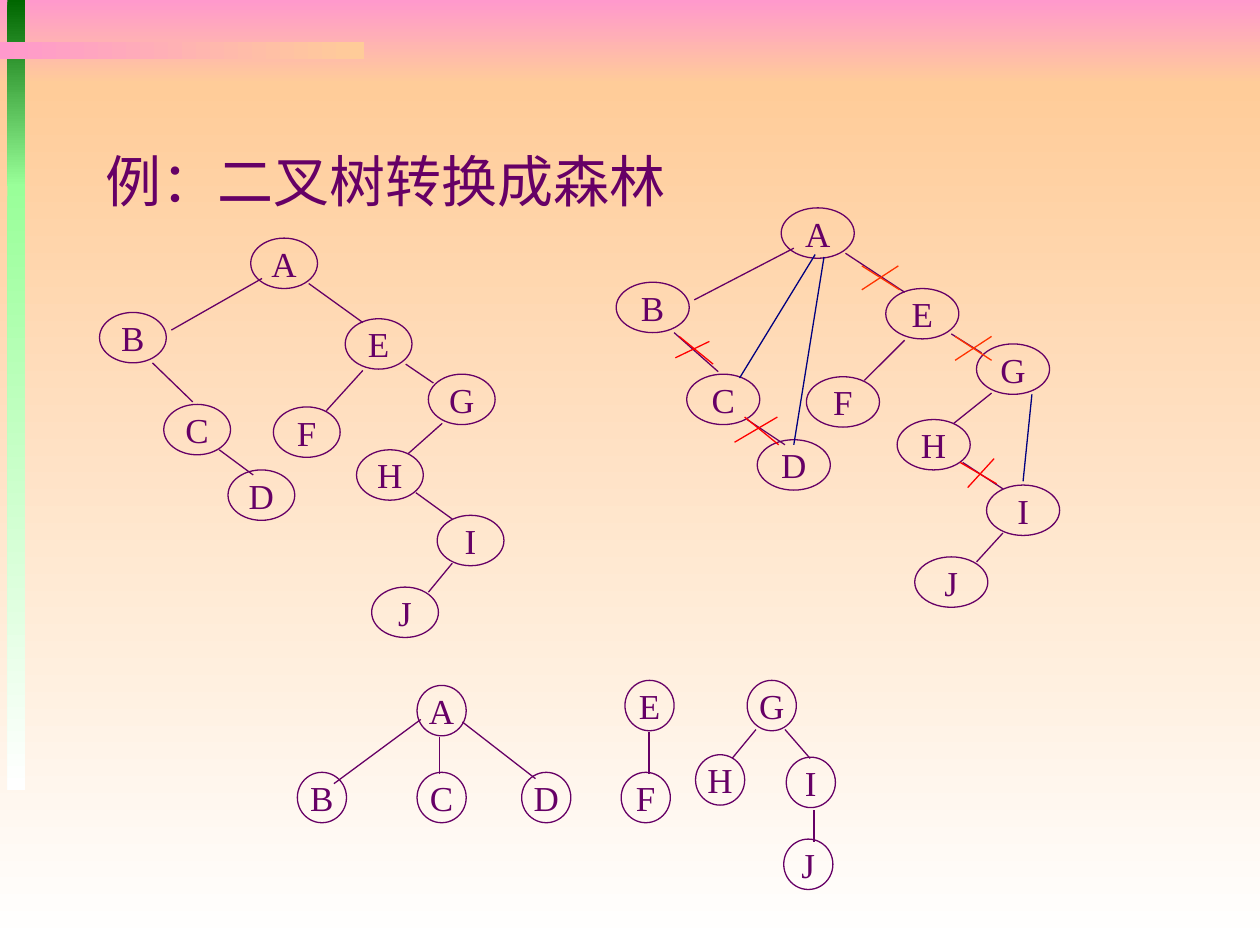
from lxml.etree import SubElement
from pptx import Presentation
from pptx.dml.color import RGBColor
from pptx.enum.shapes import MSO_CONNECTOR, MSO_SHAPE
from pptx.enum.text import MSO_ANCHOR, PP_ALIGN
from pptx.oxml.ns import qn
from pptx.util import Pt

PX = 9144
PURPLE = RGBColor(0x66, 0x00, 0x66)
NAVY = RGBColor(0x00, 0x00, 0x80)
RED = RGBColor(0xFF, 0x00, 0x00)
ORANGE = RGBColor(0xFF, 0x33, 0x00)
PINK = RGBColor(0xFF, 0x99, 0xCC)
PEACH = RGBColor(0xFF, 0xCC, 0x99)
DARK_GREEN = RGBColor(0x00, 0x66, 0x00)
LIGHT_GREEN = RGBColor(0x99, 0xFF, 0x99)
WHITE = RGBColor(0xFF, 0xFF, 0xFF)

TREE_WIDTH = 314
TREE_NODE_WIDTH = 53
FOREST_NODE_WIDTH = 39
NODE_HEIGHT = 40

TREE_NODES = {
    "A": (120, 0), "B": (0, 59), "C": (51, 132), "D": (102, 184),
    "E": (195, 64), "F": (138, 134), "G": (261, 108), "H": (204, 168),
    "I": (268, 220), "J": (216, 277),
}
TREE_EDGES = [
    (129, 32, 57, 73), (166, 36, 209, 67), (42, 99, 74, 130),
    (95, 168, 122, 188), (209, 105, 180, 137), (243, 100, 265, 115),
    (272, 147, 245, 171), (251, 202, 280, 223), (280, 258, 261, 281),
]
FOREST_NODES = {
    "A": (95, 4), "B": (0, 73), "C": (95, 73), "D": (178, 73),
    "E": (260, 0), "F": (257, 73), "G": (357, 0), "H": (316, 59),
    "I": (388, 61), "J": (386, 126),
}
FOREST_EDGES = [
    (98, 31, 29, 82), (113, 45, 113, 74), (131, 33, 189, 78),
    (279, 41, 279, 74), (364, 39, 345, 62), (387, 39, 407, 62),
    (410, 103, 410, 128),
]
MARKS = {
    NAVY: [(158, 37, 98, 135), (165, 39, 141, 188), (330, 148, 323, 217)],
    ORANGE: [
        (195, 46, 225, 65), (224, 46, 195, 65),
        (269, 102, 298, 121), (298, 102, 269, 121),
    ],
    RED: [
        (50, 102, 77, 124), (74, 106, 47, 119),
        (102, 166, 129, 188), (128, 166, 94, 186),
        (273, 202, 302, 219), (300, 199, 279, 222),
    ],
}


def emu(*lengths):
    return [round(length) * PX for length in lengths]


def format_text(frame, text, size, font_name):
    frame.text = text
    font = frame.paragraphs[0].runs[0].font
    font.size = Pt(size)
    font.name = font_name
    font.color.rgb = PURPLE


def add_band(page, box, start, end, angle=270):
    band = page.shapes.add_shape(MSO_SHAPE.RECTANGLE, *emu(*box))
    band.shadow.inherit = False
    band.line.fill.background()
    band.fill.gradient()
    band.fill.gradient_angle = angle
    for stop, color in zip(band.fill.gradient_stops, (start, end)):
        stop.color.rgb = color


def add_line(page, points, color):
    line = page.shapes.add_connector(MSO_CONNECTOR.STRAIGHT, *emu(*points))
    line.line.color.rgb = color
    line.line.width = Pt(0.75)
    SubElement(line._element.spPr, qn("a:effectLst"))


def add_node(page, label, box):
    node = page.shapes.add_shape(MSO_SHAPE.OVAL, *emu(*box))
    node.shadow.inherit = False
    node.fill.background()
    node.line.color.rgb = PURPLE
    node.line.width = Pt(0.75)
    frame = node.text_frame
    frame.word_wrap = False
    frame.vertical_anchor = MSO_ANCHOR.MIDDLE
    format_text(frame, label, 20, "Times New Roman")
    frame.paragraphs[0].alignment = PP_ALIGN.CENTER


def draw_backdrop(page, width, height):
    add_band(page, (0, 0, width, 67), PINK, PEACH)
    add_band(page, (0, 67, width, height - 67), PEACH, WHITE)
    add_band(page, (6, 0, 14, 148), DARK_GREEN, LIGHT_GREEN)
    add_band(page, (6, 146, 14, 481), LIGHT_GREEN, WHITE)
    add_band(page, (0, 33, 289, 14), PINK, PEACH, 0)


def draw_title(page, left, top, width, height):
    box = page.shapes.add_textbox(*emu(left, top, width, height))
    box.text_frame.word_wrap = True
    format_text(box.text_frame, "例：二叉树转换成森林", 32, "Arial")


def draw_lines(page, left, top, lines, color, stretch=1):
    for x1, y1, x2, y2 in lines:
        points = (left + x1 * stretch, top + y1, left + x2 * stretch, top + y2)
        add_line(page, points, color)


def draw_graph(page, left, top, nodes, edges, node_width, stretch=1):
    for label, (x, y) in nodes.items():
        box = (left + x * stretch, top + y, node_width * stretch, NODE_HEIGHT)
        add_node(page, label, box)
    draw_lines(page, left, top, edges, PURPLE, stretch)


def draw_binary_tree(page, left, top, width):
    draw_graph(page, left, top, TREE_NODES, TREE_EDGES, TREE_NODE_WIDTH,
               width / TREE_WIDTH)


def draw_marked_tree(page, left, top, width):
    draw_binary_tree(page, left, top, width)
    for color, lines in MARKS.items():
        draw_lines(page, left, top, lines, color)


def draw_forest(page, left, top):
    draw_graph(page, left, top, FOREST_NODES, FOREST_EDGES, FOREST_NODE_WIDTH)


def main():
    deck = Presentation()
    deck.slide_width, deck.slide_height = emu(1000, 750)
    page = deck.slides.add_slide(deck.slide_layouts[6])
    draw_backdrop(page, 1000, 750)
    draw_title(page, 74, 111, 496, 69)
    draw_binary_tree(page, 79, 189, TREE_WIDTH)
    draw_forest(page, 236, 540)
    draw_marked_tree(page, 489, 165, 344)
    deck.save("out.pptx")


if __name__ == "__main__":
    main()
